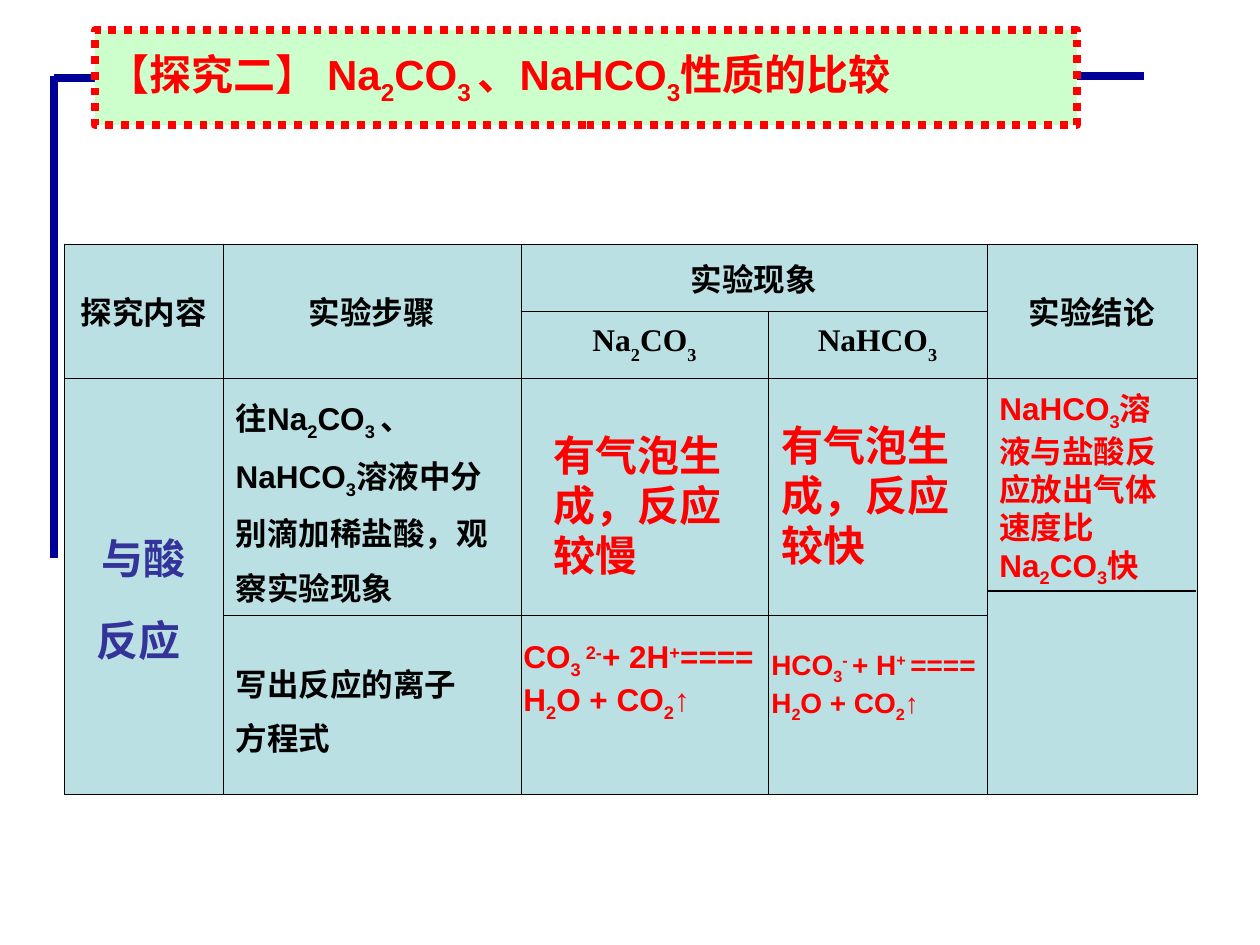
from itertools import product
from lxml import etree
from pptx import Presentation
from pptx import util as u
from pptx.dml.color import RGBColor
from pptx.enum import dml, shapes, text
from pptx.oxml import parse_xml
from pptx.oxml.ns import nsdecls, qn

SCALE = 914400 / 126
RED, BLACK, NAVY = "FF0000", "000000", "000099"
SERIF, SANS = "Times New Roman", "Arial"
MID = text.MSO_ANCHOR.MIDDLE
CENTER, LEFT = text.PP_ALIGN.CENTER, text.PP_ALIGN.LEFT


def px(size):
    return u.Emu(round(size * SCALE))


def paint(color, code):
    color.rgb = RGBColor.from_string(code)


def write(frame, words, size=18, font=SANS, color=RED, align=LEFT, space=1.0, drop=25):
    shift = {"_": -drop, "^": 30}
    for i, line in enumerate(words.split("\n")):
        para = frame.add_paragraph() if i else frame.paragraphs[0]
        para.alignment = align
        para.line_spacing = space
        for part in line.split("|"):
            base = shift.get(part[0])
            run = para.add_run()
            run.text = part[1:] if base else part
            run.font.size = u.Pt(size)
            run.font.name = font
            run.font.bold = True
            paint(run.font.color, color)
            if base:
                run.font._element.set("baseline", str(base * 1000))


def add_line(slide, start, end, color=NAVY, width=4.5):
    line = slide.shapes.add_connector(
        shapes.MSO_CONNECTOR.STRAIGHT, *map(px, start + end))
    paint(line.line.color, color)
    line.line.width = u.Pt(width)
    etree.SubElement(line._element.spPr, qn("a:effectLst"))


def add_note(slide, box, words, **style):
    frame = slide.shapes.add_textbox(*map(px, box)).text_frame
    frame.word_wrap = True
    write(frame, words, **style)


def add_title(slide, box, words):
    title = slide.shapes.title
    title.left, title.top, title.width, title.height = map(px, box)
    title._element.spPr.append(parse_xml(
        f'<a:prstGeom {nsdecls("a")} prst="roundRect"><a:avLst>'
        '<a:gd name="adj" fmla="val 16700"/></a:avLst></a:prstGeom>'))
    title.fill.solid()
    paint(title.fill.fore_color, "CCFFCC")
    paint(title.line.color, RED)
    title.line.width = u.Pt(4.5)
    title.line.dash_style = dml.MSO_LINE.ROUND_DOT
    frame = title.text_frame
    frame.word_wrap = False
    frame.auto_size = text.MSO_AUTO_SIZE.NONE
    frame.vertical_anchor = MID
    write(frame, words, size=24)
    slide.shapes._spTree.append(title._element)


def style_cell(cell):
    props = cell._tc.get_or_add_tcPr()
    for side in ("lnL", "lnR", "lnT", "lnB"):
        props.append(parse_xml(
            f'<a:{side} {nsdecls("a")} w="5715"><a:solidFill>'
            f'<a:srgbClr val="{BLACK}"/></a:solidFill></a:{side}>'))
    cell.fill.solid()
    paint(cell.fill.fore_color, "BBE0E3")


def add_grid(slide, left, top, cols, rows):
    grid = slide.shapes.add_table(
        len(rows), len(cols), px(left), px(top), px(sum(cols)), px(sum(rows))).table
    for col, width in zip(grid.columns, cols):
        col.width = px(width)
    for row, height in zip(grid.rows, rows):
        row.height = px(height)
    for r, c in product(range(len(rows)), range(len(cols))):
        style_cell(grid.cell(r, c))
    for r, c, down, right in ((0, 0, 1, 0), (0, 1, 1, 0), (0, 2, 0, 1),
                              (0, 4, 1, 0), (2, 0, 1, 0), (2, 4, 1, 0)):
        grid.cell(r, c).merge(grid.cell(r + down, c + right))
    return grid


def fill_grid(grid):
    head = dict(font=SERIF, color=BLACK, align=CENTER, drop=30)
    step = dict(color=BLACK, space=1.2)
    for r, c, words, style in (
            (0, 0, "探究内容", head),
            (0, 1, "实验步骤", head),
            (0, 2, "实验现象", head),
            (0, 4, "实验结论", head),
            (1, 2, "Na|_2|CO|_3", head),
            (1, 3, "NaHCO|_3", head),
            (2, 0, "与酸\n反应 ",
             dict(size=24, color="333399", align=CENTER, space=1.35)),
            (2, 1, "往Na|_2|CO|_3 |、NaHCO|_3|溶液中分别滴加稀盐酸，观察实验现象", step),
            (3, 1, "写出反应的离子\n方程式", step)):
        cell = grid.cell(r, c)
        if (r, c) != (2, 1):
            cell.vertical_anchor = MID
        write(cell.text_frame, words, **style)


def main():
    deck = Presentation()
    deck.slide_width, deck.slide_height = px(1260), px(945)
    slide = deck.slides.add_slide(deck.slide_layouts[5])

    fill_grid(add_grid(slide, 64, 244, (159, 298, 247, 219, 210), (67, 67, 212, 179)))
    add_line(slide, (54, 76), (54, 558))
    add_line(slide, (620, 76), (1144, 76))
    add_line(slide, (54, 78), (160, 78))
    add_title(slide, (95, 30, 982, 95),
              "【探究二】 Na|_2|CO|_3 |、NaHCO|_3|性质的比较")

    add_note(slide, (541, 423, 218, 164), "有气泡生成，反应较慢", size=24, font=SERIF)
    add_note(slide, (769, 413, 218, 164), "有气泡生成，反应较快", size=24, font=SERIF)
    add_note(slide, (987, 383, 189, 270),
             "NaHCO|_3|溶液与盐酸反应放出气体速度比Na|_2|CO|_3|快")
    add_note(slide, (511, 631, 318, 98),
             "CO|_3 |^2-|+ 2H|^+|====\nH|_2|O + CO|_2|↑")
    add_note(slide, (759, 641, 277, 89),
             "HCO|_3|^- |+ H|^+ |==== H|_2|O + CO|_2|↑", size=16)
    add_line(slide, (987, 591), (1196, 591), color=BLACK, width=0.75)
    deck.save("out.pptx")


if __name__ == "__main__":
    main()
